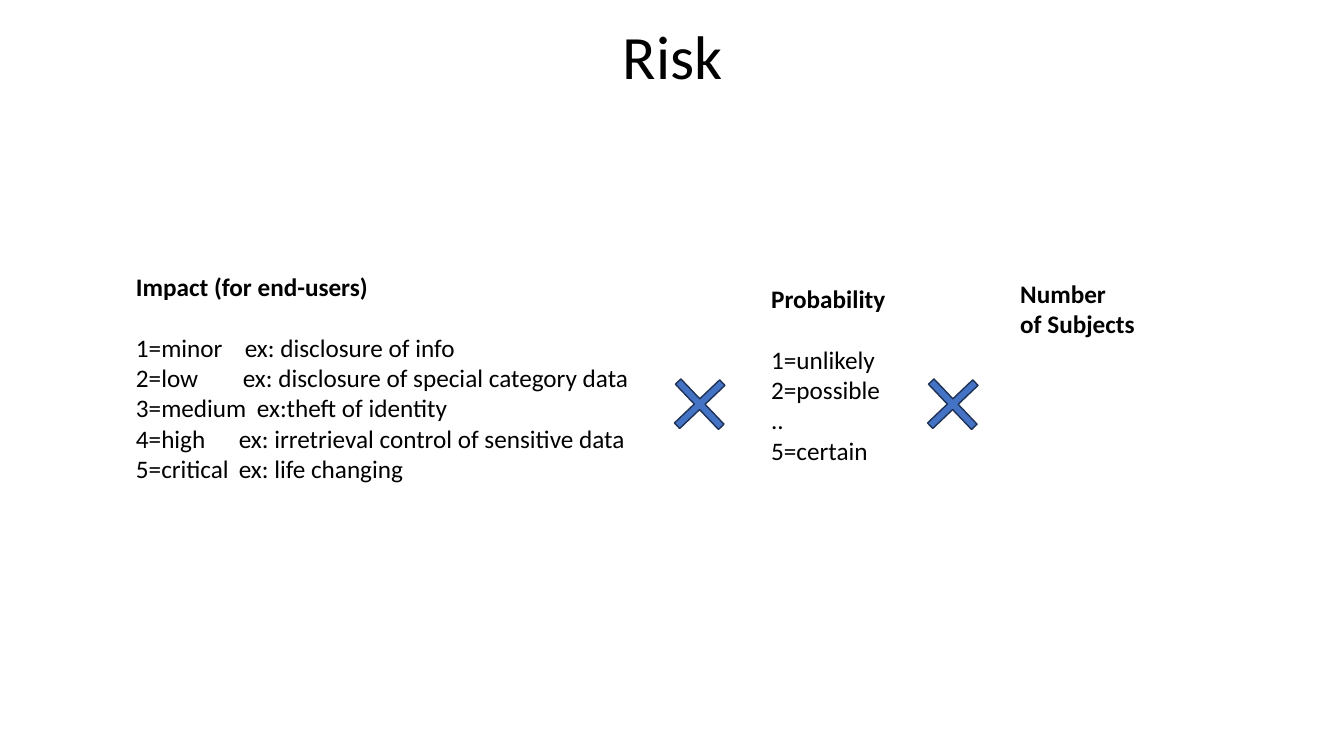
"""Build the Risk slide: impact times probability times number of subjects."""
from lxml.etree import SubElement
from pptx import Presentation
from pptx.dml.color import RGBColor
from pptx.enum.shapes import MSO_SHAPE as Shape
from pptx.enum.text import MSO_ANCHOR as Anchor, PP_ALIGN as Align
from pptx.oxml.ns import qn
from pptx.util import Inches, Pt


def color(hex_code):
    return RGBColor.from_string(hex_code)


def write(paragraph, text, size, bold=False):
    run = paragraph.add_run()
    run.text = text
    run.font.color.rgb = color("000000")
    for name, value in {"name": "Calibri", "size": Pt(size), "bold": bold}.items():
        setattr(run.font, name, value)


deck = Presentation()
deck.slide_width, deck.slide_height = Inches(13.33), Inches(7.5)
slide = deck.slides.add_slide(deck.slide_layouts[5])

title = slide.shapes.title
title.left, title.top = Inches(0.92), Inches(0.06)
title.width, title.height = Inches(11.5), Inches(1.07)
title.text_frame.vertical_anchor = Anchor.MIDDLE
heading = title.text_frame.paragraphs[0]
heading.alignment, heading.line_spacing = Align.CENTER, 0.9
write(heading, "Risk", 44)

# Each factor: position, bold heading lines, then scale lines with an optional tab stop.
factors = [
    ((1.25, 2.64, 5.28, 2.22), ["Impact (for end-users)"], [
        ("1=minor\tex: disclosure of info", 1.08),
        ("2=low\tex: disclosure of special category data", 1.06),
        ("3=medium\tex:theft of identity", 1.2),
        ("4=high\tex: irretrieval control of sensitive data", 1.02),
        ("5=critical\tex: life changing", 1.02)]),
    ((7.55, 2.76, 1.44, 1.92), ["Probability"], [
        ("1=unlikely", None), ("2=possible", None), ("..", None), ("5=certain", None)]),
    ((10.02, 2.71, 1.45, 1.01), ["Number", "of Subjects"], []),
]
for place, names, scale in factors:
    frame = slide.shapes.add_textbox(*map(Inches, place)).text_frame
    frame.word_wrap = True
    lines = [(name, None, True) for name in names]
    lines += [(level, stop, False) for level, stop in scale]
    for index, (text, stop, bold) in enumerate(lines):
        paragraph = frame.add_paragraph() if index else frame.paragraphs[0]
        paragraph.alignment = Align.LEFT
        if stop:
            tabs = SubElement(paragraph._p.get_or_add_pPr(), qn("a:tabLst"))
            SubElement(tabs, qn("a:tab"), pos=str(Inches(stop)), algn="l")
        if scale and bold:
            paragraph.space_after = Pt(22)
        write(paragraph, text, 18, bold)

for left in (6.63, 9.14):
    times = slide.shapes.add_shape(
        Shape.CROSS, Inches(left), Inches(3.7), Inches(0.62), Inches(0.62))
    times.adjustments[0] = 0.439
    times.rotation = 316.4
    times.shadow.inherit = False
    times.fill.solid()
    times.fill.fore_color.rgb = color("4472C4")
    times.line.color.rgb = color("1E3256")
    times.line.width = Pt(1)

deck.save("out.pptx")
